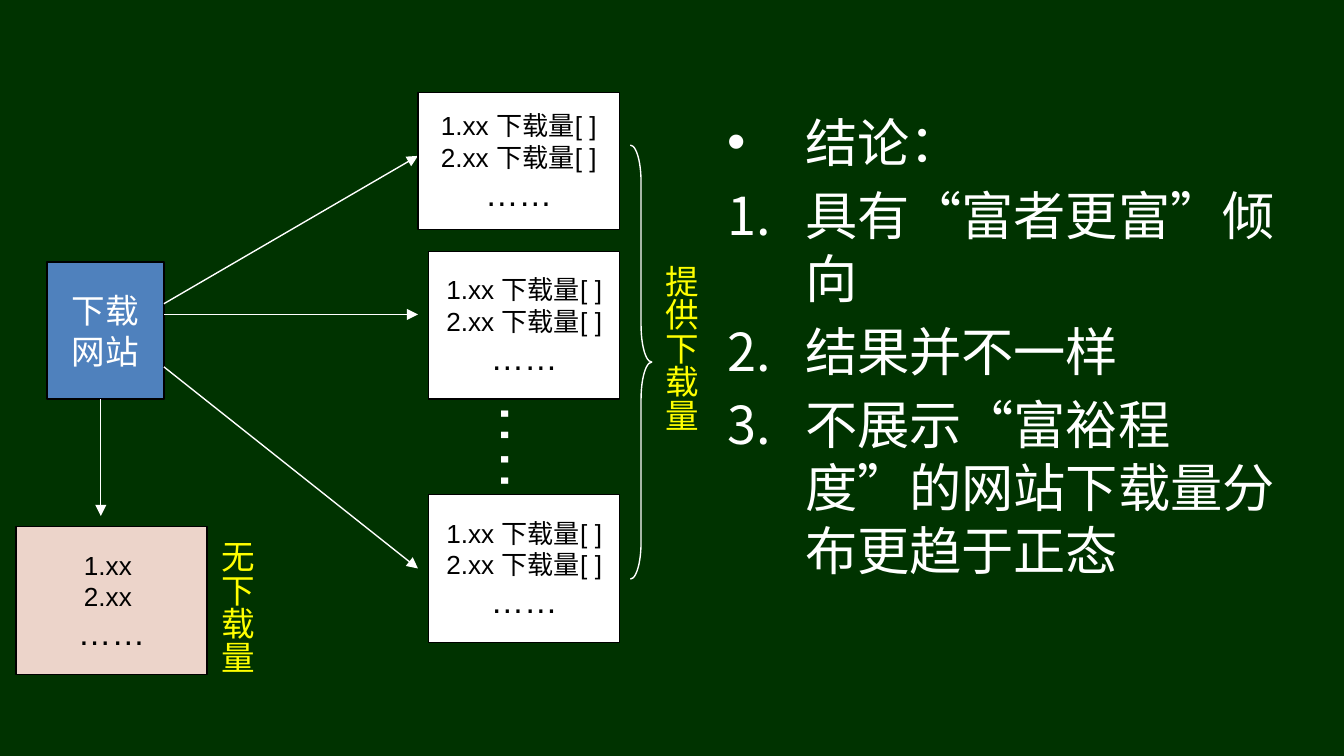
from lxml.etree import SubElement
from pptx import Presentation
from pptx.dml.color import RGBColor
from pptx.enum.lang import MSO_LANGUAGE_ID
from pptx.enum.shapes import MSO_CONNECTOR, MSO_SHAPE
from pptx.enum.text import MSO_ANCHOR, MSO_AUTO_SIZE, PP_ALIGN
from pptx.oxml.ns import qn
from pptx.util import Inches, Pt

COLORS = {
    "background": "003300",
    "site": "4F81BD",
    "plain_list": "ECD4CA",
    "white": "FFFFFF",
    "black": "000000",
    "label": "FFFF00",
}
FONT = "Arial"
DOWNLOAD_ENTRIES = ["1.xx 下载量[ ]", "2.xx 下载量[ ]"]
CONCLUSIONS = [
    "结论：",
    "具有“富者更富”倾向",
    "结果并不一样",
    "不展示“富裕程度”的网站下载量分布更趋于正态",
]


def rgb(name):
    return RGBColor.from_string(COLORS[name])


def inches(*lengths):
    return [Inches(length) for length in lengths]


def write_text(frame, lines, sizes, color, align=None, wrap=False, anchor=None):
    frame.word_wrap = wrap
    if anchor is not None:
        frame.vertical_anchor = anchor
    for index, (line, size) in enumerate(zip(lines, sizes)):
        paragraph = frame.paragraphs[0] if index == 0 else frame.add_paragraph()
        paragraph.alignment = align
        run = paragraph.add_run()
        run.text = line
        run.font.name = FONT
        run.font.size = Pt(size)
        run.font.color.rgb = rgb(color)
        run.font.language_id = MSO_LANGUAGE_ID.SIMPLIFIED_CHINESE


def add_box(slide, bounds, fill, lines, sizes, color="black"):
    box = slide.shapes.add_shape(MSO_SHAPE.RECTANGLE, *inches(*bounds))
    box.shadow.inherit = False
    box.fill.solid()
    box.fill.fore_color.rgb = rgb(fill)
    box.line.color.rgb = rgb("black")
    box.line.width = Pt(0.75)
    write_text(box.text_frame, lines, sizes, color,
               align=PP_ALIGN.CENTER, anchor=MSO_ANCHOR.MIDDLE)


def add_list_box(slide, bounds, fill, entries):
    add_box(slide, bounds, fill, entries + ["……"], [14, 14, 18])


def add_label(slide, bounds, text, size, color, rotation=0, vertical=False):
    label = slide.shapes.add_textbox(*inches(*bounds))
    label.rotation = rotation
    write_text(label.text_frame, [text], [size], color)
    label.text_frame.auto_size = MSO_AUTO_SIZE.SHAPE_TO_FIT_TEXT
    if vertical:
        label.element.txBody.bodyPr.set("vert", "eaVert")


def add_arrow(slide, start, end):
    arrow = slide.shapes.add_connector(
        MSO_CONNECTOR.STRAIGHT, *inches(*start, *end))
    arrow.line.color.rgb = rgb("white")
    arrow.line.width = Pt(0.75)
    outline = arrow.element.spPr.find(qn("a:ln"))
    SubElement(outline, qn("a:tailEnd"), type="triangle")
    SubElement(arrow.element.spPr, qn("a:effectLst"))


def add_brace(slide, bounds):
    brace = slide.shapes.add_shape(MSO_SHAPE.RIGHT_BRACE, *inches(*bounds))
    brace.shadow.inherit = False
    brace.adjustments[0] = 1.72
    brace.adjustments[1] = 0.5
    brace.fill.background()
    brace.line.color.rgb = rgb("white")
    brace.line.width = Pt(0.75)


def fill_conclusions(body):
    body.left, body.top, body.width, body.height = inches(5.31, 0.77, 4.34, 3.71)
    frame = body.text_frame
    write_text(frame, CONCLUSIONS, [28] * len(CONCLUSIONS), "white",
               wrap=True, anchor=MSO_ANCHOR.TOP)
    frame.auto_size = MSO_AUTO_SIZE.NONE
    for index, paragraph in enumerate(frame.paragraphs):
        properties = paragraph._p.get_or_add_pPr()
        properties.set("marL", str(Inches(0.58)))
        properties.set("indent", str(-Inches(0.58)))
        if index == 0:
            SubElement(properties, qn("a:buChar"), char="•")
        else:
            SubElement(properties, qn("a:buFontTx"))
            SubElement(properties, qn("a:buAutoNum"), type="arabicPeriod")


def main():
    presentation = Presentation()
    presentation.slide_width, presentation.slide_height = inches(10, 10 * 9 / 16)
    slide = presentation.slides.add_slide(presentation.slide_layouts[1])
    slide.background.fill.solid()
    slide.background.fill.fore_color.rgb = rgb("background")
    title = slide.shapes.title.element
    title.getparent().remove(title)

    add_box(slide, (0.35, 1.95, 0.87, 1.02), "site",
            ["下载", "网站"], [18, 18], color="white")
    add_label(slide, (3.33, 2.98, 1.2, 0.7), "……", 36, "white", rotation=90)
    fill_conclusions(slide.placeholders[1])

    for start_y, end_y in [(2.26, 1.16), (2.34, 2.34), (2.73, 4.23)]:
        add_arrow(slide, (1.22, start_y), (3.11, end_y))
    add_list_box(slide, (3.11, 0.69, 1.5, 1.02), "white", DOWNLOAD_ENTRIES)
    for top in (3.68, 1.87):
        add_list_box(slide, (3.19, top, 1.42, 1.1), "white", DOWNLOAD_ENTRIES)
    add_brace(slide, (4.69, 1.08, 0.16, 3.23))
    add_label(slide, (4.76, 1.87, 0.51, 1.36), "提供下载量", 18, "label",
              vertical=True)

    add_arrow(slide, (0.75, 2.97), (0.75, 3.84))
    add_list_box(slide, (0.12, 3.92, 1.42, 1.1), "plain_list", ["1.xx ", "2.xx "])
    add_label(slide, (1.45, 3.92, 0.51, 1.11), "无下载量", 18, "label",
              vertical=True)

    presentation.save("out.pptx")


if __name__ == "__main__":
    main()
